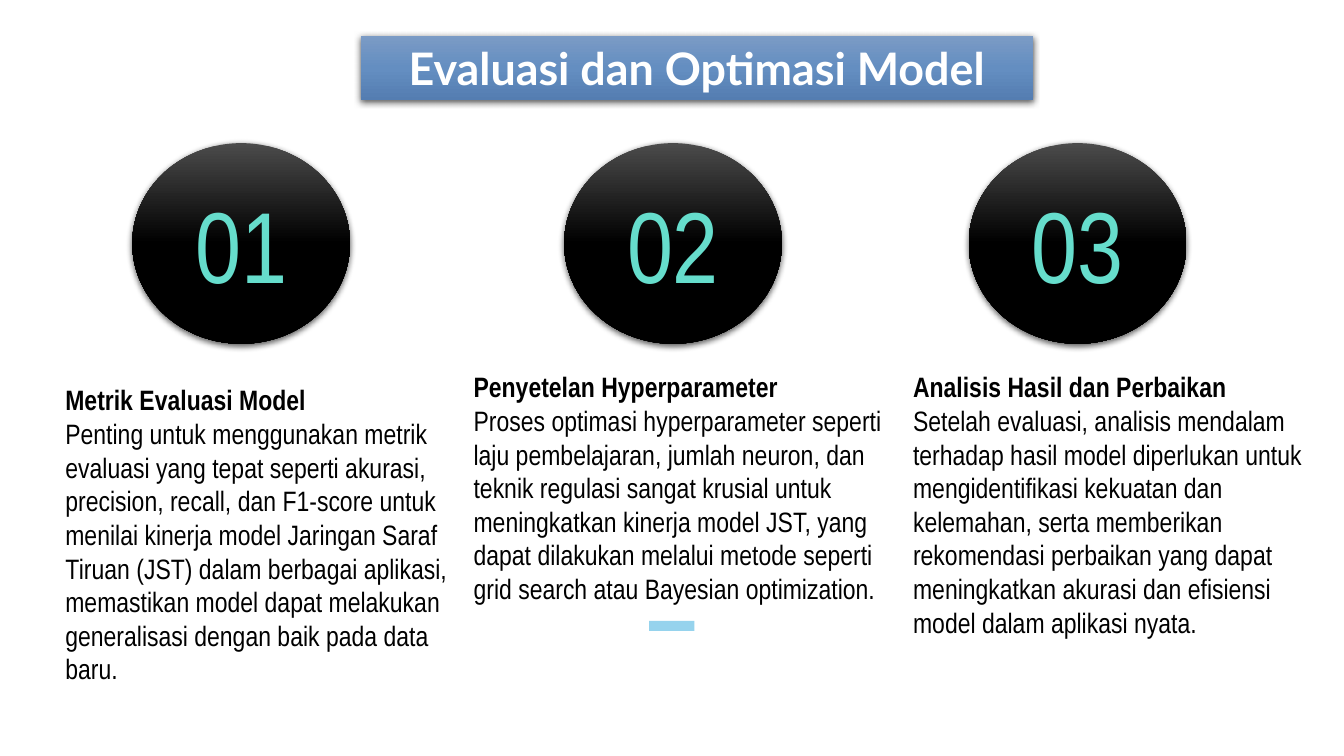
from pptx import Presentation
from pptx.dml.color import RGBColor
from pptx.enum import shapes, text
from pptx.oxml import parse_xml
from pptx.oxml import ns
from pptx.util import Pt

COLORS = {
    "accent": "96D3ED",
    "white": "FFFFFF",
    "black": "000000",
}
GRADIENTS = {
    "banner": ("7B9BC5", "648EC1", "547DB1"),
    "circle": ("4B4B4B", "000000", "000000"),
    "number": ("1D8475", "66DDCC", "A3EBE0"),
}
BODY_FONT = "Arial Narrow"
CIRCLE_TOP, CIRCLE_WIDTH, CIRCLE_HEIGHT = 102.24, 155.5, 143.28

TOPICS = [
    ("01", 94.5, (39.6, 270, 291.6, 225.4), "Metrik Evaluasi Model",
     "Penting untuk menggunakan metrik evaluasi yang tepat seperti akurasi, "
     "precision, recall, dan F1-score untuk menilai kinerja model Jaringan Saraf "
     "Tiruan (JST) dalam berbagai aplikasi, memastikan model dapat melakukan "
     "generalisasi dengan baik pada data baru."),
    ("02", 403, (331.2, 260.64, 313.2, 177.1), "Penyetelan Hyperparameter",
     "Proses optimasi hyperparameter seperti laju pembelajaran, jumlah neuron, dan "
     "teknik regulasi sangat krusial untuk meningkatkan kinerja model JST, yang dapat "
     "dilakukan melalui metode seperti grid search atau Bayesian optimization."),
    ("03", 692, (645.12, 260.64, 303.84, 200.9), "Analisis Hasil dan Perbaikan",
     "Setelah evaluasi, analisis mendalam terhadap hasil model diperlukan untuk "
     "mengidentifikasi kekuatan dan kelemahan, serta memberikan rekomendasi perbaikan "
     "yang dapat meningkatkan akurasi dan efisiensi model dalam aplikasi nyata."),
]


def paint_gradient(fill, element, name):
    fill.gradient()
    fill.gradient_angle = 270
    stops = element.find(".//" + ns.qn("a:gsLst"))
    for stop in list(stops):
        stops.remove(stop)
    for position, color in zip((0, 50000, 100000), GRADIENTS[name]):
        stops.append(parse_xml(
            f'<a:gs {ns.nsdecls("a")} pos="{position}"><a:srgbClr val="{color}"/></a:gs>'))


def add_shadow(shape):
    effects = shape._element.spPr.find(ns.qn("a:effectLst"))
    effects.append(parse_xml(
        f'<a:outerShdw {ns.nsdecls("a")} blurRad="{Pt(4.5)}" dist="{Pt(1.5)}" '
        'dir="5400000" rotWithShape="0">'
        f'<a:srgbClr val="{COLORS["black"]}"><a:alpha val="63000"/></a:srgbClr>'
        '</a:outerShdw>'))


def add_plain_shape(page, kind, bounds):
    shape = page.shapes.add_shape(kind, *map(Pt, bounds))
    shape.shadow.inherit = False
    shape.line.fill.background()
    return shape


def add_glossy_shape(page, kind, bounds, gradient):
    shape = add_plain_shape(page, kind, bounds)
    paint_gradient(shape.fill, shape._element.spPr, gradient)
    add_shadow(shape)
    shape.text_frame.paragraphs[0].alignment = text.PP_ALIGN.CENTER
    return shape


def add_span(para, wording, size, font, bold=False, color="black"):
    span = para.add_run()
    span.text = wording
    span.font.size = Pt(size)
    span.font.name = font
    span.font.bold = bold
    span.font.color.rgb = RGBColor.from_string(COLORS[color])
    return span


def add_accent(page):
    accent = add_plain_shape(page, shapes.MSO_SHAPE.RECTANGLE, (463.7, 443.5, 32.4, 7.2))
    accent.fill.solid()
    accent.fill.fore_color.rgb = RGBColor.from_string(COLORS["accent"])


def add_banner(page, wording):
    banner = add_glossy_shape(page, shapes.MSO_SHAPE.RECTANGLE,
                              (257.76, 25.5, 480.24, 46.08), "banner")
    frame = banner.text_frame
    frame.vertical_anchor = text.MSO_ANCHOR.TOP
    frame.auto_size = text.MSO_AUTO_SIZE.SHAPE_TO_FIT_TEXT
    add_span(frame.paragraphs[0], wording, 32, "Lato", True, "white")


def add_description(page, bounds, heading, body):
    box = page.shapes.add_textbox(*map(Pt, bounds))
    frame = box.text_frame
    frame.word_wrap = True
    frame.auto_size = text.MSO_AUTO_SIZE.SHAPE_TO_FIT_TEXT
    add_span(frame.paragraphs[0], heading, 20, BODY_FONT, True)
    add_span(frame.add_paragraph(), body, 20, BODY_FONT)


def add_number_circle(page, left, number):
    circle = add_glossy_shape(page, shapes.MSO_SHAPE.OVAL,
                              (left, CIRCLE_TOP, CIRCLE_WIDTH, CIRCLE_HEIGHT), "circle")
    circle.text_frame.vertical_anchor = text.MSO_ANCHOR.MIDDLE
    span = add_span(circle.text_frame.paragraphs[0], number, 72, BODY_FONT)
    paint_gradient(span.font.fill, span._r, "number")


def main():
    deck = Presentation()
    deck.slide_width, deck.slide_height = Pt(960), Pt(540)
    page = deck.slides.add_slide(deck.slide_layouts[6])
    add_accent(page)
    add_banner(page, "Evaluasi dan Optimasi Model")
    for number, left, bounds, heading, body in TOPICS:
        add_description(page, bounds, heading, body)
        add_number_circle(page, left, number)
    deck.save("out.pptx")


if __name__ == "__main__":
    main()
